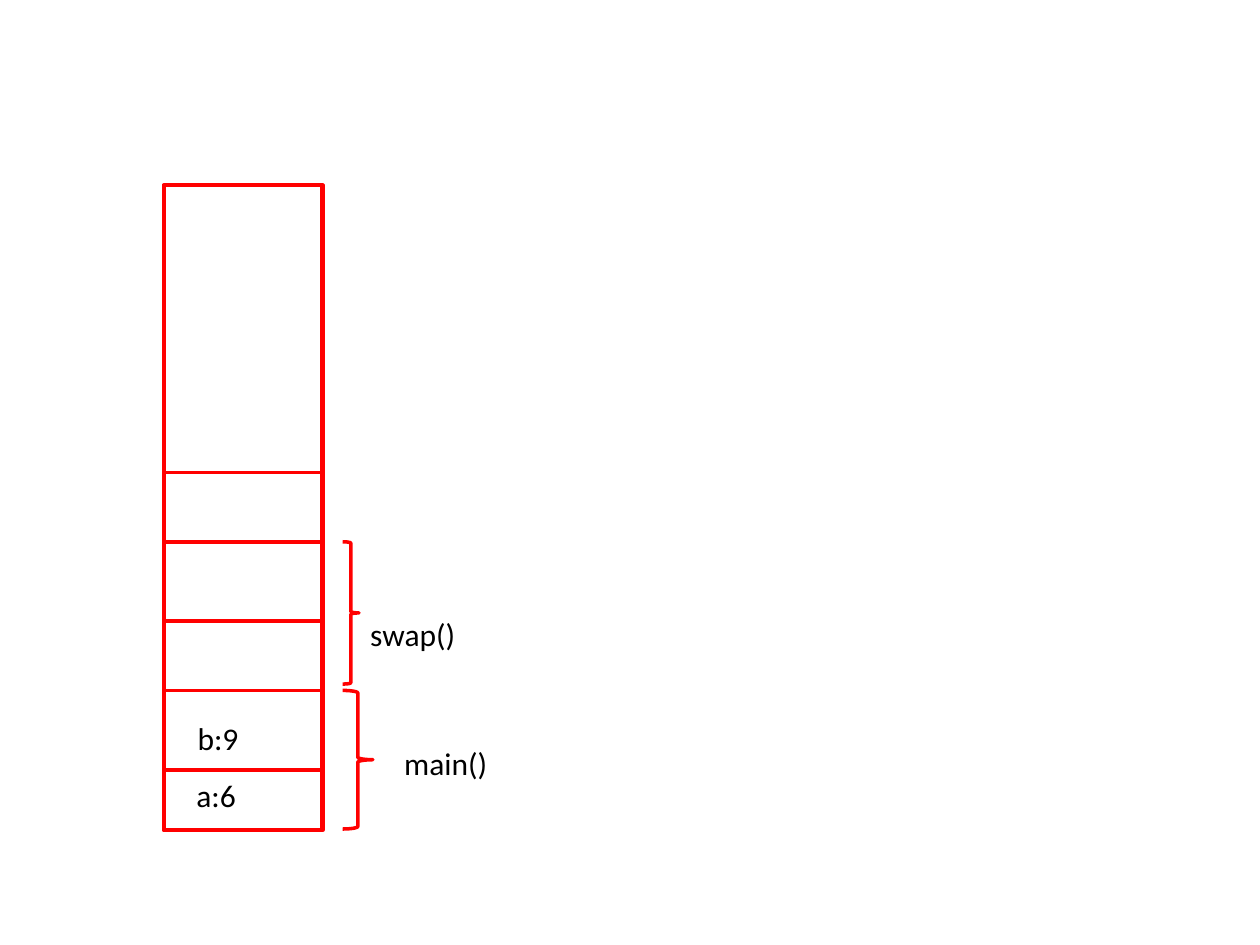
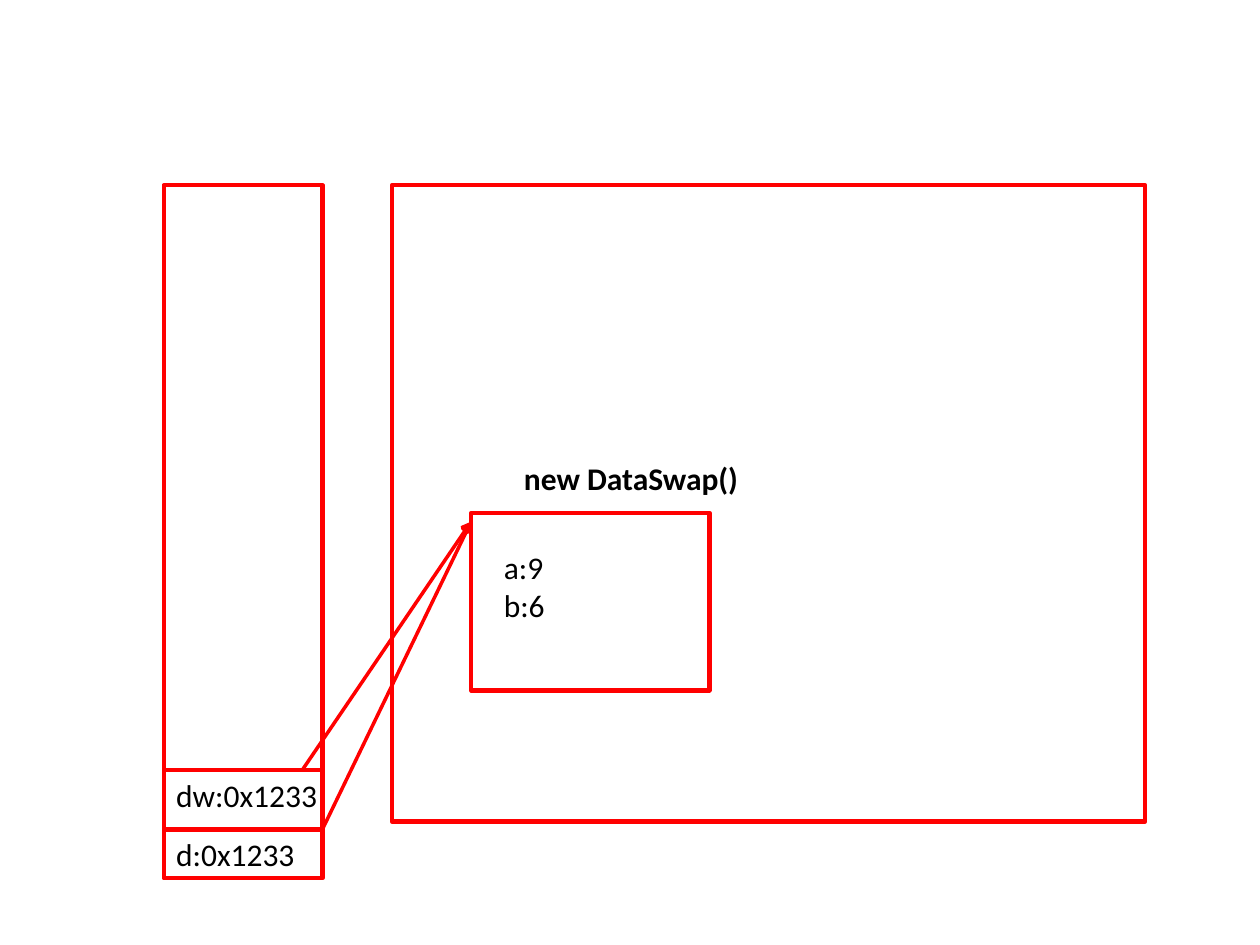
"""Two memory diagrams: a call stack, and a stack whose slots refer to a heap object."""
from dataclasses import dataclass

from lxml.etree import SubElement
from pptx import Presentation
from pptx.dml.color import RGBColor
from pptx.enum.shapes import MSO_CONNECTOR, MSO_SHAPE
from pptx.enum.text import MSO_AUTO_SIZE
from pptx.oxml.ns import qn
from pptx.util import Inches, Pt


@dataclass(frozen=True)
class Theme:
    """Colours, type and line widths shared by the slides."""
    ink: RGBColor = RGBColor(0, 0, 0)
    stroke: RGBColor = RGBColor(255, 0, 0)
    font: str = "Calibri"
    size: float = 18
    box_width: float = 2.5
    line_width: float = 2


THEME = Theme()
STACK_LEFT, STACK_TOP, STACK_WIDTH, STACK_HEIGHT = 1.3, 1.47, 1.26, 5.12
STACK_RIGHT = STACK_LEFT + STACK_WIDTH
STACK_BOTTOM = 6.58
FIRST_SLOT = 6.11
MAIN_TOP, SWAP_TOP = 5.48, 4.3


def add_outline(s, kind, x, y, w, h, width):
    """Add an unfilled preset shape with a red outline."""
    sp = s.shapes.add_shape(kind, Inches(x), Inches(y), Inches(w), Inches(h))
    sp.shadow.inherit = False
    sp.fill.background()
    sp.line.color.rgb = THEME.stroke
    sp.line.width = Pt(width)


def add_box(s, x, y, w, h):
    """Add a memory area."""
    add_outline(s, MSO_SHAPE.RECTANGLE, x, y, w, h, THEME.box_width)


def add_brace(s, x, y, w, h):
    """Add a brace that groups the slots of one call."""
    add_outline(s, MSO_SHAPE.RIGHT_BRACE, x, y, w, h, THEME.line_width)


def add_line(s, start, end, arrow=False):
    """Add a straight line, with an arrowhead at its end if wanted."""
    points = [Inches(v) for v in (*start, *end)]
    line = s.shapes.add_connector(MSO_CONNECTOR.STRAIGHT, *points)
    line.line.color.rgb = THEME.stroke
    line.line.width = Pt(THEME.line_width)
    if arrow:
        SubElement(line.line._get_or_add_ln(), qn("a:tailEnd"), type="arrow")
    SubElement(line._element.spPr, qn("a:effectLst"))


def add_label(s, x, y, w, *lines, bold=None):
    """Add a text box with one paragraph for each line."""
    height = 0.4 + 0.31 * (len(lines) - 1)
    box = s.shapes.add_textbox(Inches(x), Inches(y), Inches(w), Inches(height))
    tf = box.text_frame
    tf.word_wrap = True
    tf.auto_size = MSO_AUTO_SIZE.SHAPE_TO_FIT_TEXT
    tf.text = "\n".join(lines)
    for p in tf.paragraphs:
        p.font.name = THEME.font
        p.font.size = Pt(THEME.size)
        p.font.color.rgb = THEME.ink
        p.font.bold = bold


def add_stack(s, dividers):
    """Add the stack column and the lines between its slots."""
    add_box(s, STACK_LEFT, STACK_TOP, STACK_WIDTH, STACK_HEIGHT)
    for y in dividers:
        add_line(s, (STACK_LEFT, y), (STACK_RIGHT, y))


def build_call_stack(s):
    """Show the values of main() and the frame of swap() on the stack."""
    add_stack(s, [FIRST_SLOT, MAIN_TOP, 4.93, SWAP_TOP, 3.75])
    add_label(s, 1.46, FIRST_SLOT, 0.87, "a:6")
    add_label(s, 1.47, 5.66, 0.87, "b:9")
    add_brace(s, 2.72, MAIN_TOP, 0.24, STACK_BOTTOM - MAIN_TOP)
    add_label(s, 3.11, 5.86, 1.5, "main()")
    add_brace(s, 2.72, SWAP_TOP, 0.13, 1.13)
    add_label(s, 2.84, 4.83, 1.5, "swap()")


def build_heap_reference(s):
    """Show two stack slots that refer to the same heap object."""
    add_stack(s, [FIRST_SLOT])
    add_label(s, STACK_LEFT, FIRST_SLOT, 1.42, "dw:0x1233")
    add_box(s, STACK_LEFT, STACK_BOTTOM, STACK_WIDTH, 0.39)
    add_label(s, STACK_LEFT, STACK_BOTTOM, STACK_WIDTH, "d:0x1233")

    heap_object = (3.74, 4.07)
    add_box(s, 3.11, STACK_TOP, 5.98, 5.05)
    add_box(s, *heap_object, 1.89, 1.41)
    add_label(s, 3.9, 4.3, 1.42, "a:9", "b:6")
    add_label(s, 4.06, 3.59, 1.98, "new DataSwap()", bold=True)

    target = (heap_object[0], heap_object[1] + 0.07)
    for start in ((STACK_RIGHT, STACK_BOTTOM), (2.4, FIRST_SLOT)):
        add_line(s, start, target, arrow=True)


def main():
    """Build and save the presentation."""
    prs = Presentation()
    prs.slide_width, prs.slide_height = Inches(10), Inches(7.5)
    blank = prs.slide_layouts[6]
    for build in (build_call_stack, build_heap_reference):
        build(prs.slides.add_slide(blank))
    prs.save("out.pptx")


main()
